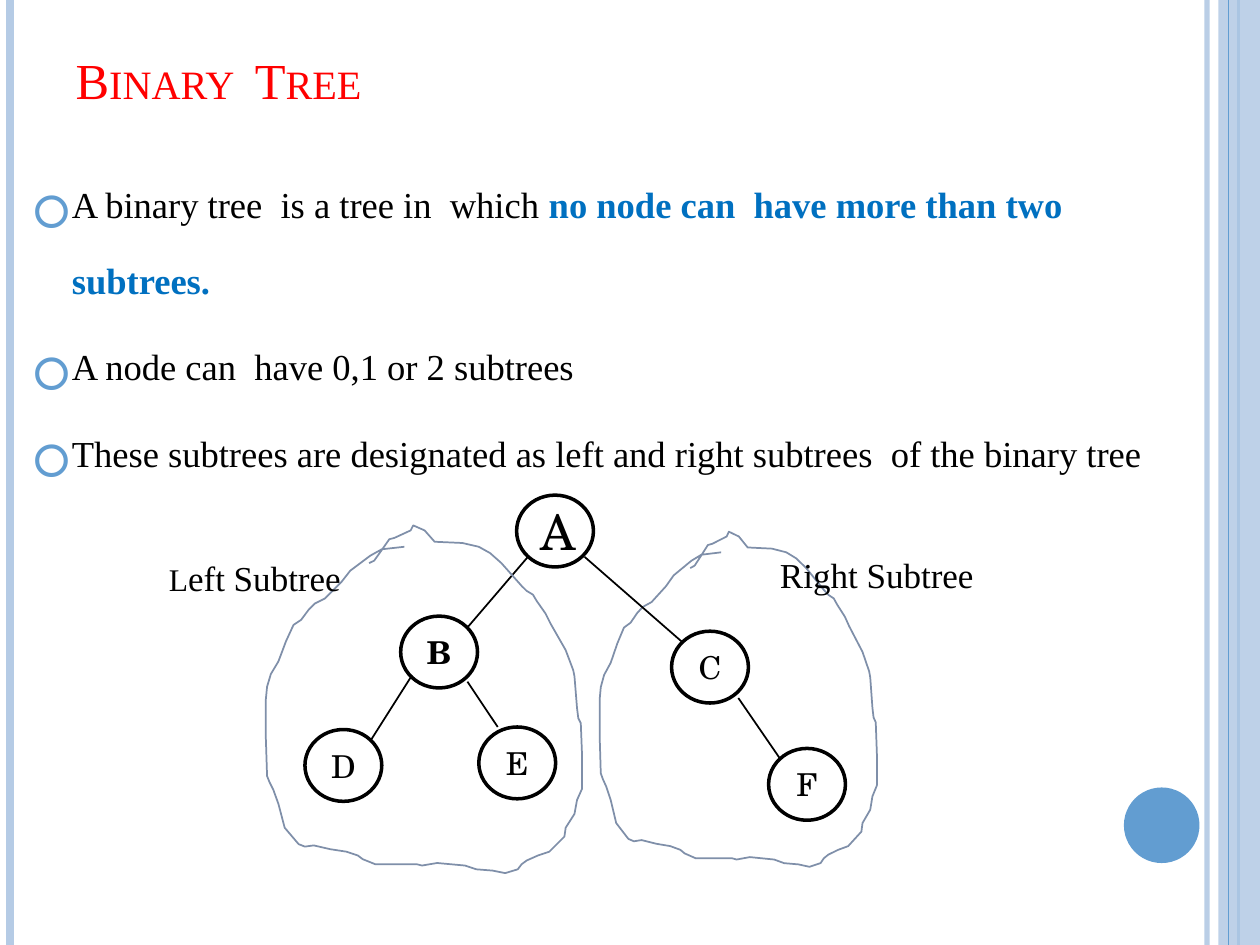
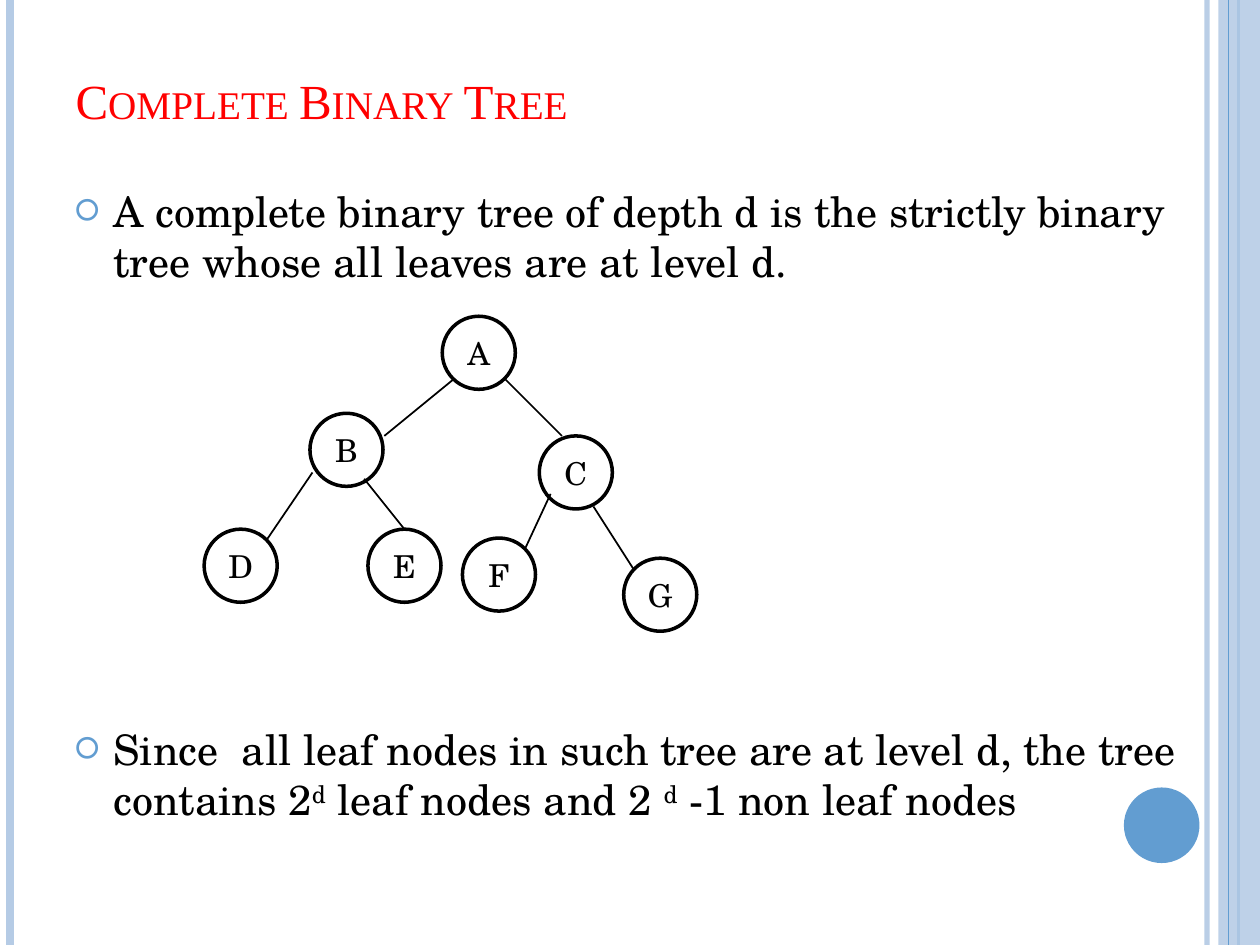
"""Builds two slides on binary trees."""
from pptx import Presentation
from pptx.dml.color import RGBColor
from pptx.enum.shapes import MSO_CONNECTOR as CONN, MSO_SHAPE as SHAPE
from pptx.enum.text import MSO_ANCHOR as ANCHOR, MSO_AUTO_SIZE as FIT, PP_ALIGN as ALIGN
from pptx.oxml.ns import qn
from pptx.util import Inches, Pt
from lxml.etree import SubElement

COLORS = {"pale": "B5CBE5", "blue": "629DD1", "title": "FF0000", "key": "0070C0",
          "ink": "000000", "paper": "FFFFFF", "loop": "7F8FA9"}
TIMES, SCHOLA = "Times New Roman", "TeX Gyre Schola"
RULES = [(9.58, "pale", 3, 93), (0.08, "pale", 4.5, 100),
         (9.83, "blue", 1.5, 100), (9.75, "blue", 0.75, 100)]
LOOP_BOX = (2.11, 4.17, 2.51, 2.76)
LOOP = [
    (3.21, 4.34), (3.03, 4.36), (2.94, 4.41), (2.78, 4.53), (2.71, 4.62), (2.58, 4.75),
    (2.5, 4.79), (2.45, 4.84), (2.39, 4.92), (2.33, 4.96), (2.27, 5.09), (2.24, 5.17),
    (2.21, 5.25), (2.15, 5.35), (2.12, 5.45), (2.11, 5.55), (2.11, 5.86), (2.12, 6.16),
    (2.14, 6.21), (2.17, 6.27), (2.21, 6.38), (2.26, 6.57), (2.37, 6.7), (2.42, 6.72),
    (2.49, 6.71), (2.62, 6.74), (2.75, 6.76), (2.84, 6.79), (2.88, 6.82), (2.98, 6.86),
    (3.31, 6.86), (3.35, 6.87), (3.47, 6.85), (3.69, 6.87), (3.78, 6.9), (3.91, 6.91),
    (4.01, 6.93), (4.11, 6.9), (4.14, 6.86), (4.18, 6.83), (4.27, 6.79), (4.36, 6.76),
    (4.48, 6.64), (4.49, 6.57), (4.56, 6.46), (4.58, 6.35), (4.62, 6.26), (4.62, 6),
    (4.61, 5.74), (4.59, 5.7), (4.58, 5.62), (4.56, 5.37), (4.55, 5.32), (4.49, 5.16),
    (4.37, 4.95), (4.33, 4.87), (4.26, 4.77), (4.23, 4.72), (4.18, 4.69), (4.14, 4.65),
    (3.98, 4.47), (3.89, 4.39), (3.8, 4.34), (3.67, 4.31), (3.45, 4.3), (3.37, 4.21),
    (3.28, 4.17), (3.26, 4.21), (3.13, 4.27), (3.09, 4.28), (3.02, 4.38), (2.97, 4.45),
    (2.93, 4.47)]


def rgb(name):
    return RGBColor.from_string(COLORS[name])


def set_format(obj, fmt):
    for name, value in fmt.items():
        setattr(obj, name, value)


def set_alpha(shape, percent):
    if percent < 100:
        color = next(shape._element.iter(qn("a:srgbClr")))
        SubElement(color, qn("a:alpha")).set("val", str(percent * 1000))


def set_line(shape, color, width):
    shape.line.color.rgb = rgb(color)
    shape.line.width = Pt(width)


def place(shape, box):
    set_format(shape, dict(zip(("left", "top", "width", "height"), map(Inches, box))))


def add_run(p, text, size, font=SCHOLA, color="ink", bold=False, base=0):
    r = p.add_run()
    r.text = text
    set_format(r.font, {"size": Pt(size), "name": font, "bold": bold})
    r.font.color.rgb = rgb(color)
    if base:
        r.font._element.set("baseline", str(base * 1000))
    return r


def add_line(s, start, end, color="ink", width=1):
    line = s.shapes.add_connector(CONN.STRAIGHT, *map(Inches, start + end))
    set_line(line, color, width)
    SubElement(line._element.spPr, qn("a:effectLst"))
    return line


def add_shape(s, kind, box, fill):
    sp = s.shapes.add_shape(kind, *map(Inches, box))
    sp.shadow.inherit = False
    sp.fill.solid()
    sp.fill.fore_color.rgb = rgb(fill)
    sp.line.fill.background()
    return sp


def add_node(s, letter, left, top, size, text_size=18, bold=False):
    sp = add_shape(s, SHAPE.OVAL, (left, top) + size, "paper")
    set_line(sp, "ink", 2)
    tf = sp.text_frame
    tf.vertical_anchor = ANCHOR.MIDDLE
    p = tf.paragraphs[0]
    p.alignment = ALIGN.CENTER
    add_run(p, letter, text_size, bold=bold)


def add_loop(s, box):
    """Fits the hand-drawn outline into a box."""
    x0, y0, w0, h0 = LOOP_BOX
    x, y, w, h = box
    points = [(Inches(x + (px - x0) * w / w0), Inches(y + (py - y0) * h / h0))
              for px, py in LOOP]
    builder = s.shapes.build_freeform(*points[0])
    builder.add_line_segments(points[1:], close=False)
    sp = builder.convert_to_shape()
    sp.shadow.inherit = False
    sp.fill.background()
    set_line(sp, "loop", 1)


def add_label(s, box, runs):
    tf = s.shapes.add_textbox(*map(Inches, box)).text_frame
    set_format(tf, {"word_wrap": True, "margin_left": 0, "margin_right": 0,
                    "margin_top": Inches(0.01), "margin_bottom": 0})
    for text, size in runs:
        add_run(tf.paragraphs[0], text, size, TIMES)


def add_bullet(p, runs, before, spacing=1.0):
    set_format(p, {"space_before": Pt(before), "line_spacing": spacing,
                   "alignment": ALIGN.LEFT})
    pPr = p._p.get_or_add_pPr()
    pPr.set("marL", str(Inches(0.3)))
    pPr.set("indent", str(-Inches(0.3)))
    SubElement(SubElement(pPr, qn("a:buClr")), qn("a:srgbClr")).set("val", COLORS["blue"])
    SubElement(pPr, qn("a:buSzPct")).set("val", "70000")
    SubElement(pPr, qn("a:buChar")).set("char", "🞆")
    for text, fmt in runs:
        add_run(p, text, **fmt)


def add_body(s, box, items, spacing=1.0):
    body = s.placeholders[1]
    place(body, box)
    tf = body.text_frame
    tf.auto_size = FIT.NONE
    for i, (before, runs) in enumerate(items):
        p = tf.add_paragraph() if i else tf.paragraphs[0]
        add_bullet(p, runs, before, spacing)


def add_slide(prs, title, height, size):
    """Adds a slide with the side bands, the disc and the title."""
    s = prs.slides.add_slide(prs.slide_layouts[1])
    for i, (x, color, width, alpha) in enumerate(RULES):
        if i == len(RULES) - 1:
            band = add_shape(s, SHAPE.RECTANGLE, (9.67, 0, 0.33, 7.5), "pale")
            set_alpha(band, 87)
        set_alpha(add_line(s, (x, 0), (x, 7.5), color, width), alpha)
    add_shape(s, SHAPE.OVAL, (8.92, 6.25, 0.6, 0.6), "blue")
    place(s.shapes.title, (0.5, 0.3, 8.17, height))
    tf = s.shapes.title.text_frame
    set_format(tf, {"auto_size": FIT.NONE, "vertical_anchor": ANCHOR.BOTTOM})
    tf.paragraphs[0].alignment = ALIGN.LEFT
    r = add_run(tf.paragraphs[0], title, size, TIMES, "title")
    r.font._element.set("cap", "small")
    return s


def binary_tree(prs):
    s = add_slide(prs, "Binary  Tree", 0.62, 28.8)
    plain = {"size": 36, "font": TIMES, "base": 30}
    key = {**plain, "color": "key", "bold": True}
    add_body(s, (0.17, 1.33, 9.33, 5.75), [
        (0, [("A binary tree  is a tree in  which ", plain),
             ("no node can  have more than two subtrees.", key)]),
        (6, [("A node can  have 0,1 or 2 subtrees", plain)]),
        (6, [("These subtrees are designated as left and right subtrees  of the binary tree",
              plain)])], Pt(43.4))
    add_loop(s, (4.76, 4.22, 2.2, 2.66))
    size = (0.61, 0.57)
    add_node(s, "A", 4.1, 3.93, size, text_size=28)
    add_node(s, "B", 3.18, 4.89, size, bold=True)
    for letter, left, top in [("E", 3.8, 5.77), ("D", 2.42, 5.79),
                              ("C", 5.33, 5.01), ("F", 6.1, 5.94)]:
        add_node(s, letter, left, top, size)
    for start, end in [((4.19, 4.42), (3.71, 4.98)), ((3.27, 5.36), (2.94, 5.88)),
                       ((3.95, 5.77), (3.71, 5.41)), ((5.42, 5.1), (4.64, 4.42)),
                       ((6.19, 6.02), (5.86, 5.54))]:
        add_line(s, start, end)
    add_loop(s, LOOP_BOX)
    add_label(s, (1.34, 4.41, 1.38, 0.3), [("L", 18), ("eft Subtree", 20)])
    add_label(s, (6.19, 4.38, 1.68, 0.3), [("Right Subtree", 20)])


def complete_tree(prs):
    s = add_slide(prs, "Complete Binary Tree", 0.78, 28)
    plain = {"size": 24}
    power = {"size": 24, "base": 30}
    add_body(s, (0.5, 1.42, 9, 5.66), [
        (0, [("A complete binary tree of depth d is the strictly binary tree "
              "whose all leaves are at level d.", plain)]),
        (250, [("Since  all leaf nodes in such tree are at level d, the tree contains 2", plain),
               ("d", power), (" leaf nodes and 2 ", plain),
               ("d", power), (" -1 non leaf nodes", plain)])])
    for letter, left, top in [("A", 3.51, 2.51), ("B", 2.46, 3.28), ("D", 1.62, 4.2),
                              ("C", 4.28, 3.46), ("E", 2.92, 4.2), ("F", 3.67, 4.27),
                              ("G", 4.95, 4.43)]:
        add_node(s, letter, left, top, (0.58, 0.58))
    for start, end in [((4.01, 3.01), (4.46, 3.46)), ((4.71, 4.02), (5.03, 4.52)),
                       ((2.48, 3.75), (2.12, 4.28)), ((3.6, 3.01), (3.05, 3.46)),
                       ((2.89, 3.8), (3.21, 4.2)), ((4.37, 3.92), (4.17, 4.35))]:
        add_line(s, start, end)


def main():
    prs = Presentation()
    prs.slide_width, prs.slide_height = Inches(10), Inches(7.5)
    binary_tree(prs)
    complete_tree(prs)
    prs.save("out.pptx")


if __name__ == "__main__":
    main()
